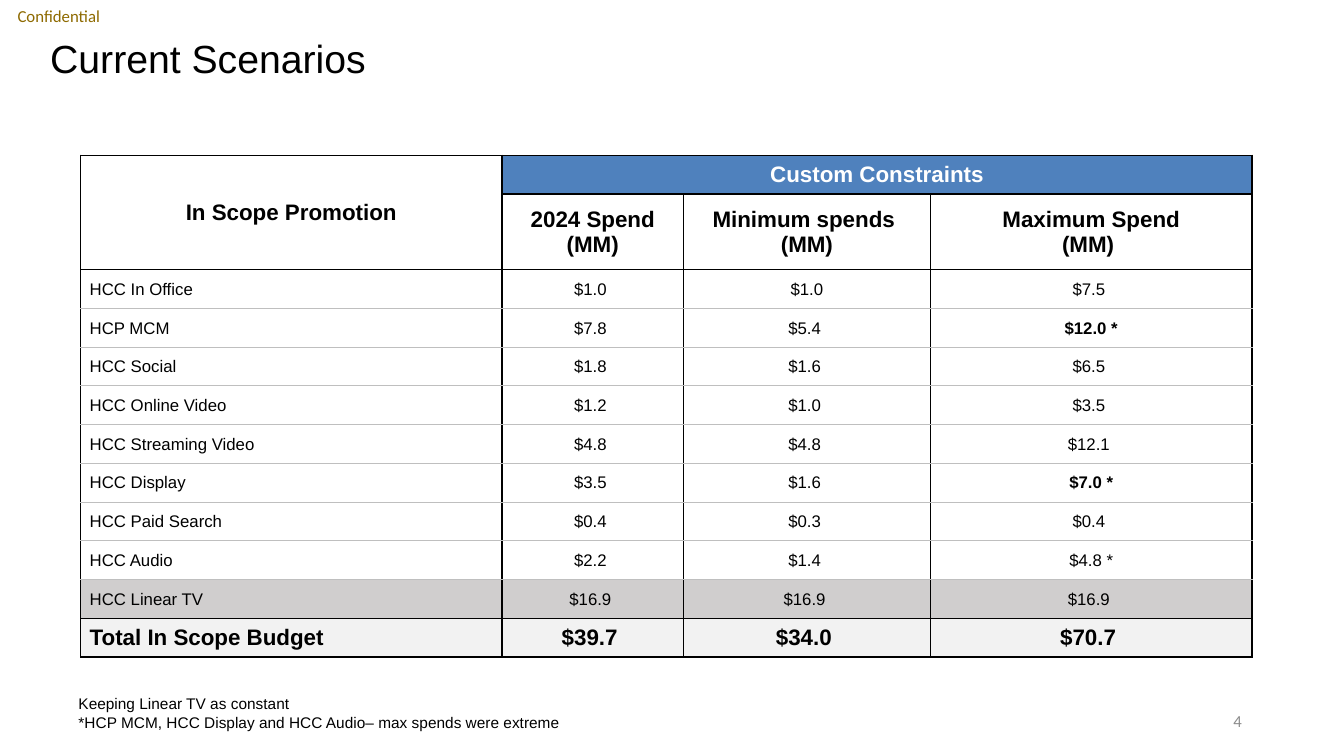
from pptx import Presentation
from pptx.util import Pt
from pptx.dml.color import RGBColor as Rgb
from pptx.enum.text import PP_ALIGN as Al, MSO_ANCHOR as Anchor
from lxml.etree import SubElement as Sub
from pptx.oxml.ns import qn

# Content
TITLE = "Current Scenarios"
MARK = "Confidential"
PAGE = "4"
NOTES = "Keeping Linear TV as constant\n*HCP MCM, HCC Display and HCC Audio– max spends were extreme"
ROWS = [
    ("In Scope Promotion", "Custom Constraints", "", ""),
    ("", "2024 Spend\n(MM)", "Minimum spends \n(MM)", "Maximum Spend\v(MM) "),
    ("HCC In Office", "$1.0 ", "$1.0", "$7.5 "),
    ("HCP MCM", "$7.8 ", "$5.4 ", "$12.0 *"),
    ("HCC Social", "$1.8 ", "$1.6 ", "$6.5 "),
    ("HCC Online Video", "$1.2 ", "$1.0 ", "$3.5 "),
    ("HCC Streaming Video", "$4.8 ", "$4.8 ", "$12.1 "),
    ("HCC Display", "$3.5 ", "$1.6 ", "$7.0 *"),
    ("HCC Paid Search", "$0.4 ", "$0.3 ", "$0.4 "),
    ("HCC Audio", "$2.2 ", "$1.4 ", "$4.8 *"),
    ("HCC Linear TV", "$16.9 ", "$16.9 ", "$16.9 "),
    ("Total In Scope Budget", "$39.7 ", "$34.0 ", "$70.7 "),
]
STRONG = {"$12.0 *", "$7.0 *"}
HEADS = 2
LAST = len(ROWS) - 1
COLS = (301, 129.6, 176.4, 229.7)
ROW, TALL = 27.68, 54

THEME = {
    "font": "Arial", "alt": "Calibri",
    "ink": "000000", "white": "FFFFFF", "gold": "8E6A00", "gray": "8C8C8C",
    "rule": "BFBFBF", "blue": "4F81BD", "fixed": "D0CECE", "total": "F2F2F2",
    "title": 28, "head": 16, "body": 12, "note": 11,
}


def style(frame, size, color="ink", font="font", bold=False, align=Al.LEFT):
    for par in frame.paragraphs:
        par.alignment = align
        for run in par.runs:
            run.font.name = THEME[font]
            run.font.size = Pt(THEME[size])
            run.font.bold = bold
            run.font.color.rgb = Rgb.from_string(THEME[color])


def label(text, box, size, anchor=Anchor.MIDDLE, **look):
    frame = slide.shapes.add_textbox(*map(Pt, box)).text_frame
    frame.word_wrap = True
    frame.vertical_anchor = anchor
    frame.text = text
    style(frame, size, **look)
    return frame


def border(cell, side, color, width):
    line = Sub(cell._tc.get_or_add_tcPr(), qn("a:ln" + side), w=str(Pt(width)))
    Sub(Sub(line, qn("a:solidFill")), qn("a:srgbClr"), val=THEME[color])


def edge(row):
    """Colour and width of the rule above a row."""
    inner = HEADS < row < LAST
    return ("rule", 0.5) if inner else ("ink", 1)


deck = Presentation()
deck.slide_width, deck.slide_height = Pt(960), Pt(540)
slide = deck.slides.add_slide(deck.slide_layouts[6])

# Title and corner mark
mark = label(MARK, (0, 0, 84, 23), "body", color="gold", font="alt", align=Al.CENTER)
mark.margin_left = mark.margin_right = mark.margin_top = mark.margin_bottom = 0
title = label(TITLE, (28.8, 28.8, 864, 28.8), "title")
title.paragraphs[0].line_spacing = 0.9

# Table grid
high = [TALL if r == 1 else ROW for r in range(len(ROWS))]
grid = slide.shapes.add_table(len(ROWS), len(COLS), Pt(57.6), Pt(110.9),
                              Pt(sum(COLS)), Pt(sum(high))).table
grid.first_row = grid.horz_banding = False
for col, wide in zip(grid.columns, COLS):
    col.width = Pt(wide)
for row, tall in zip(grid.rows, high):
    row.height = Pt(tall)

# Table cells
fills = {(0, 1): "blue"}
for c in range(len(COLS)):
    fills[LAST - 1, c] = "fixed"
    fills[LAST, c] = "total"

for r, row in enumerate(ROWS):
    head = r < HEADS
    for c, text in enumerate(row):
        cell = grid.cell(r, c)
        name = c == 0 and not head
        cell.vertical_anchor = Anchor.MIDDLE
        cell.margin_left = Pt(6.5 if name else 0.7)
        cell.margin_right = cell.margin_top = Pt(0.7)
        cell.margin_bottom = 0
        cell.text_frame.text = text
        big = head or r == LAST
        style(cell.text_frame, "head" if big else "body",
              color="white" if (r, c) == (0, 1) else "ink",
              bold=big or text in STRONG,
              align=Al.LEFT if name else Al.CENTER)
        border(cell, "L", "ink", 1)
        border(cell, "R", "ink", 1)
        border(cell, "T", *edge(r))
        border(cell, "B", *edge(r + 1))
        if (r, c) in fills:
            cell.fill.solid()
            cell.fill.fore_color.rgb = Rgb.from_string(THEME[fills[r, c]])
        else:
            cell.fill.background()

grid.cell(0, 0).merge(grid.cell(1, 0))
grid.cell(0, 1).merge(grid.cell(0, 3))

# Notes and page number
label(NOTES, (49, 492.5, 504, 33.8), "note", anchor=Anchor.TOP)
label(PAGE, (678.2, 500.4, 216, 28.8), "body", color="gray", font="alt", align=Al.RIGHT)

deck.save("out.pptx")
